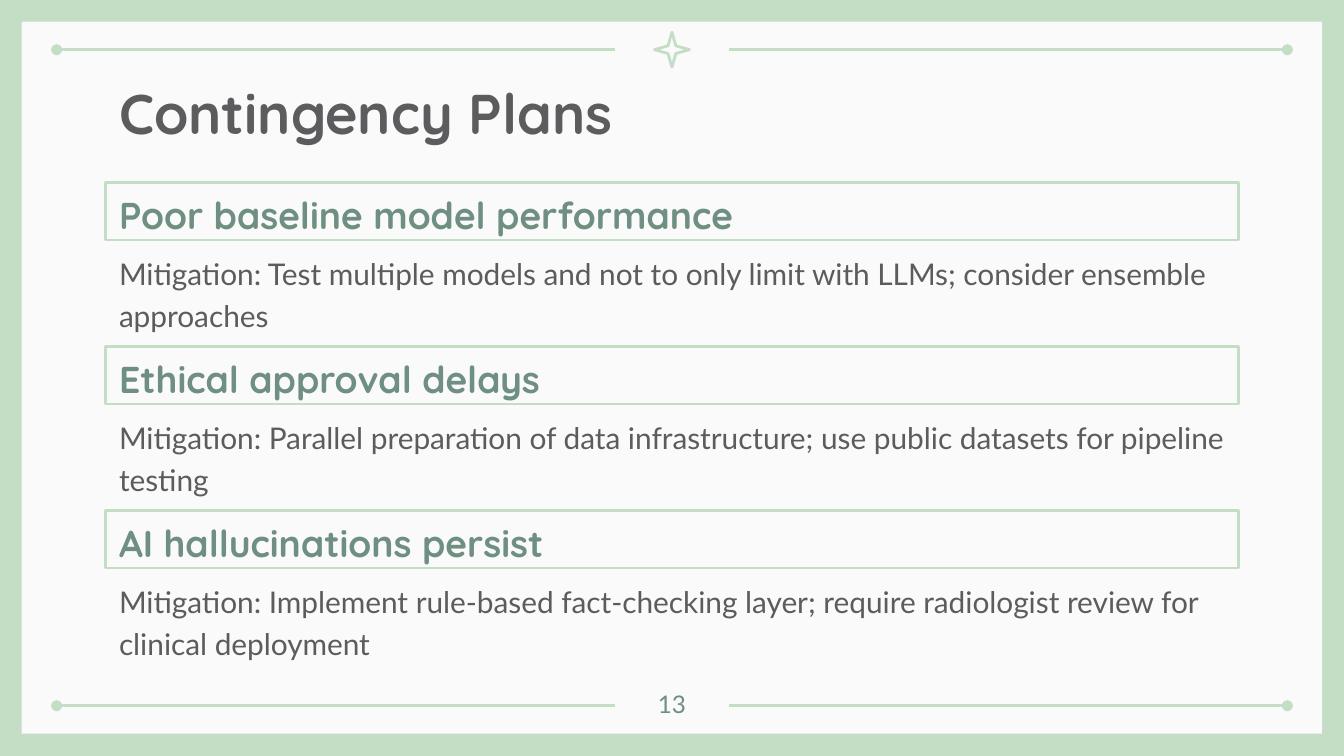
import pptx
import pptx.util
import pptx.dml.color
import pptx.enum.shapes
import pptx.enum.text
import pptx.oxml
import pptx.oxml.ns

Cm = pptx.util.Cm
Pt = pptx.util.Pt
SHAPE = pptx.enum.shapes.MSO_SHAPE
ANCHOR = pptx.enum.text.MSO_ANCHOR
ALIGN = pptx.enum.text.PP_ALIGN

MINT, SAGE, GREY, PAPER = "C4DDC5", "6E8F81", "5C5C5F", "FAFAFA"
PLANS = [
    ("Poor baseline model performance",
     "Mitigation: Test multiple models and not to only limit with LLMs; "
     "consider ensemble approaches"),
    ("Ethical approval delays",
     "Mitigation: Parallel preparation of data infrastructure; "
     "use public datasets for pipeline testing"),
    ("AI hallucinations persist",
     "Mitigation: Implement rule-based fact-checking layer; "
     "require radiologist review for clinical deployment"),
]


def tint(text):
    return pptx.dml.color.RGBColor.from_string(text)


def add_tag(parent, name, **attrs):
    tag = pptx.oxml.parse_xml(f"<a:{name} {pptx.oxml.ns.nsdecls('a')}/>")
    for key, value in attrs.items():
        tag.set(key, value)
    parent.append(tag)


def stroke(item):
    item.line.color.rgb = tint(MINT)
    item.line.width = Pt(1.5)
    ln = item.element.spPr.find(pptx.oxml.ns.qn("a:ln"))
    add_tag(ln, "round")
    return ln


def add_form(slide, kind, box, fill=None):
    form = slide.shapes.add_shape(kind, *map(Cm, box))
    form.shadow.inherit = False
    if fill:
        form.fill.solid()
        form.fill.fore_color.rgb = tint(fill)
        form.line.fill.background()
    else:
        form.fill.background()
        stroke(form)
    return form


def write(form, text, font, size, color, bold=False, align=ALIGN.LEFT,
          anchor=ANCHOR.TOP, space=1.0):
    frame = form.text_frame
    frame.word_wrap = True
    frame.vertical_anchor = anchor
    frame.margin_left = frame.margin_right = Cm(0.25)
    frame.margin_top = frame.margin_bottom = Cm(0.25)
    para = frame.paragraphs[0]
    para.alignment = align
    para.line_spacing = space
    run = para.add_run()
    run.text = text
    run.font.name = font
    run.font.size = Pt(size)
    run.font.bold = bold
    run.font.color.rgb = tint(color)


def add_text(slide, box, *args, **style):
    write(slide.shapes.add_textbox(*map(Cm, box)), *args, **style)


def add_rule(slide, start, end, y, dot):
    rule = slide.shapes.add_connector(
        pptx.enum.shapes.MSO_CONNECTOR.STRAIGHT,
        Cm(start), Cm(y), Cm(end), Cm(y))
    add_tag(stroke(rule), dot, type="oval")
    add_tag(rule.element.spPr, "effectLst")


def add_frame(slide, box, number):
    left, top, width, height = box
    right, mid = left + width, left + width / 2
    add_form(slide, SHAPE.RECTANGLE, box, PAPER)
    high, low = top + 0.53, top + height - 0.53
    for y in (high, low):
        add_rule(slide, left + 0.66, mid - 1.07, y, "headEnd")
        add_rule(slide, mid + 1.07, right - 0.66, y, "tailEnd")
    star = add_form(slide, SHAPE.STAR_4_POINT,
                    (mid - 0.33, high - 0.33, 0.66, 0.66))
    star.adjustments[0] = 0.157
    add_text(slide, (mid - 0.76, low - 0.56, 1.52, 0.91), number,
             "Lato", 13, SAGE, align=ALIGN.CENTER)


def add_plan(slide, box, head, body):
    left, top, width, height = box
    bar = 1.09
    add_text(slide, (left, top + 1.04, width, height - bar), body,
             "Lato", 16, GREY, space=1.15)
    form = add_form(slide, SHAPE.RECTANGLE, (left, top, width, bar))
    write(form, head, "Quicksand", 20, SAGE, bold=True,
          anchor=ANCHOR.MIDDLE, space=1.15)


def add_plans(slide, box):
    left, top, width, height = box
    step = height / len(PLANS)
    for i, (head, body) in enumerate(PLANS):
        add_plan(slide, (left, top + i * step, width, 2.56), head, body)


def main():
    deck = pptx.Presentation()
    deck.slide_width, deck.slide_height = Cm(25.4), Cm(14.29)
    slide = deck.slides.add_slide(deck.slide_layouts[6])
    slide.background.fill.solid()
    slide.background.fill.fore_color.rgb = tint(MINT)
    add_frame(slide, (0.41, 0.41, 24.58, 13.46), "13")
    add_text(slide, (2, 1.24, 21.41, 1.6), "Contingency Plans",
             "Quicksand", 30, GREY, bold=True)
    add_plans(slide, (2, 3.45, 21.41, 9.3))
    deck.save("out.pptx")


if __name__ == "__main__":
    main()
